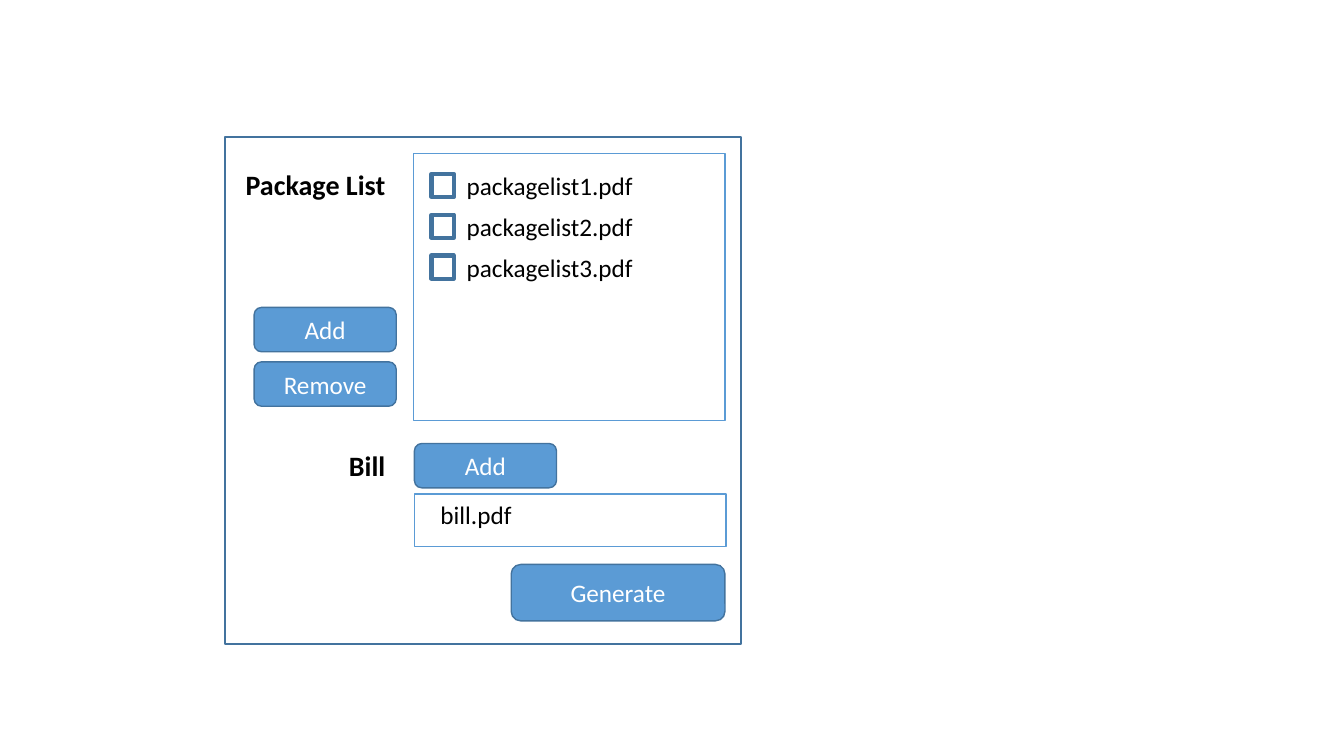
"""Build a slide with a form for package lists and a bill."""
from pptx import Presentation, util as u
from pptx.dml.color import RGBColor
from pptx.enum import shapes, text

BLUE = RGBColor(0x5B, 0x9B, 0xD5)
STEEL = RGBColor(0x43, 0x73, 0x9E)
BLACK = RGBColor(0, 0, 0)
WHITE = RGBColor(255, 255, 255)


class Form:
    """Draw form elements on a grid of tenth-inch columns and rows."""

    cell = u.Inches(0.1)
    font = "Calibri"

    def __init__(self, slide):
        self.slide = slide

    def place(self, *cells):
        """Turn grid cells into slide lengths."""
        return [round(count * self.cell) for count in cells]

    def style_text(self, frame, caption, size, color, align, bold=False):
        """Set and format the caption of a text frame."""
        frame.text = caption
        frame.word_wrap = True
        line = frame.paragraphs[0]
        line.alignment = align
        font = line.runs[0].font
        font.name, font.size, font.bold = self.font, u.Pt(size), bold
        font.color.rgb = color

    def box(self, *cells, kind=shapes.MSO_SHAPE.RECTANGLE, fill=None, line=BLUE, weight=1):
        """Add an outlined shape, hollow unless a fill is given."""
        shape = self.slide.shapes.add_shape(kind, *self.place(*cells))
        shape.shadow.inherit = False
        if fill is None:
            shape.fill.background()
        else:
            shape.fill.solid()
            shape.fill.fore_color.rgb = fill
        shape.line.color.rgb = line
        shape.line.width = u.Pt(weight)
        return shape

    def button(self, caption, left, top, width=14.1, height=4.4):
        """Add a rounded button with a centred caption."""
        button = self.box(left, top, width, height, fill=BLUE, line=STEEL,
                          kind=shapes.MSO_SHAPE.ROUNDED_RECTANGLE)
        button.text_frame.vertical_anchor = text.MSO_ANCHOR.MIDDLE
        self.style_text(button.text_frame, caption, 18, WHITE, text.PP_ALIGN.CENTER)

    def words(self, caption, *cells, size=18, align=text.PP_ALIGN.LEFT, bold=False):
        """Add a text box."""
        frame = self.slide.shapes.add_textbox(*self.place(*cells)).text_frame
        self.style_text(frame, caption, size, BLACK, align, bold)
        frame.auto_size = text.MSO_AUTO_SIZE.SHAPE_TO_FIT_TEXT

    def label(self, caption, top, height):
        """Add a bold field label at the left edge of the form."""
        self.words(caption, 22.3, top, 16.9, height, size=20,
                   align=text.PP_ALIGN.RIGHT, bold=True)

    def option(self, caption, top):
        """Add a checkbox with a file name beside it."""
        self.words(caption, 45.3, top, 22.7, 4)
        self.box(42.8, top + 0.85, 2.2, 2.3, line=STEEL, weight=3)


deck = Presentation()
deck.slide_width, deck.slide_height = u.Inches(13.33), u.Inches(7.5)
form = Form(deck.slides.add_slide(deck.slide_layouts[6]))

form.label("Package List", 16.1, 7.7)
form.box(41, 15.2, 30.9, 26.5)
for row, caption in enumerate(["Add", "Remove"]):
    form.button(caption, 25.2, 30.5 + 5.4 * row)
for row in range(3):
    form.option(f"packagelist{row + 1}.pdf", 16.4 + 4.05 * row)

form.label("Bill", 44, 4.4)
form.box(41.1, 49, 30.9, 5.2)
form.button("Generate", 50.7, 56, 21.2, 5.6)
form.words("bill.pdf", 42.7, 49, 10.5, 4)
form.button("Add", 41.1, 44)
form.box(22.3, 13.6, 51.2, 50.3, line=STEEL)

deck.save("out.pptx")
